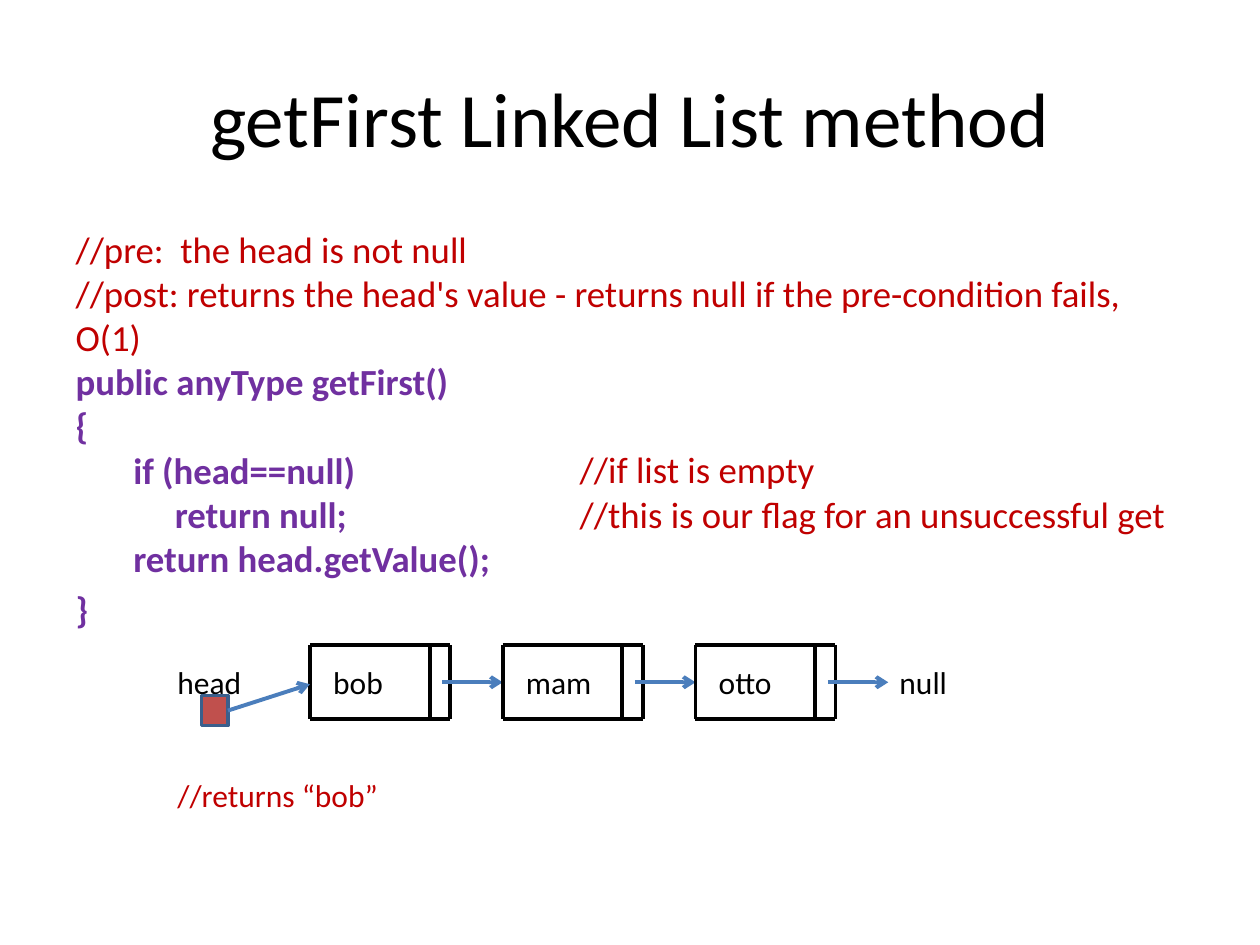
from dataclasses import dataclass

from lxml import etree
from pptx import Presentation
from pptx.dml.color import RGBColor
from pptx.enum.shapes import MSO_CONNECTOR, MSO_SHAPE
from pptx.enum.text import MSO_ANCHOR, MSO_AUTO_SIZE, PP_ALIGN
from pptx.oxml.ns import qn
from pptx.util import Pt

STRAIGHT = MSO_CONNECTOR.STRAIGHT
RECTANGLE = MSO_SHAPE.RECTANGLE
RIGHT_SIDE = 3


@dataclass(frozen=True)
class Theme:
    font: str = "Calibri"
    text: RGBColor = RGBColor(0x00, 0x00, 0x00)
    comment: RGBColor = RGBColor(0xC0, 0x00, 0x00)
    code: RGBColor = RGBColor(0x70, 0x30, 0xA0)
    arrow: RGBColor = RGBColor(0x4B, 0x7E, 0xBC)
    head_fill: RGBColor = RGBColor(0xC0, 0x50, 0x4D)
    head_line: RGBColor = RGBColor(0x3A, 0x5F, 0x8C)
    title_size: float = 44
    code_size: float = 21
    label_size: float = 18
    line_width: float = 2.25
    head_line_width: float = 2


@dataclass(frozen=True)
class CodeLine:
    text: str
    indent: float = 0
    before: float = 0

    @property
    def is_comment(self) -> bool:
        return self.text.startswith("//")


THEME = Theme()
CODE = [
    CodeLine("//pre:  the head is not null"),
    CodeLine("//post: returns the head's value - returns null "
             "if the pre-condition fails, O(1)"),
    CodeLine("public anyType getFirst()"),
    CodeLine("{"),
    CodeLine("if (head==null)", indent=33),
    CodeLine("return null;", indent=56.7),
    CodeLine("return head.getValue();", indent=33),
    CodeLine("}", before=4),
]
SIDE_COMMENTS = [
    CodeLine("//if list is empty"),
    CodeLine("//this is our flag for an unsuccessful get"),
]
LINE_PITCH = 25.2
BODY_TOP = 126
SIDE_COMMENT_ROW = 5

VALUES = ["bob", "mam", "otto"]
NODE_LEFT, NODE_TOP, NODE_PITCH = 177.1, 368.8, 110.16
NODE_WIDTH, NODE_HEIGHT = 80, 42.2
DIVIDER_X, ARROW_X = 68.4, 75.6
FIRST_LABEL_TAB, NULL_TAB = 89, 412.6


def style_run(r, size: float, color: RGBColor, bold: bool = False) -> None:
    r.font.name = THEME.font
    r.font.size = Pt(size)
    r.font.color.rgb = color
    r.font.bold = bold


def add_tabs(p, stops: list[float]) -> None:
    tabs = etree.SubElement(p._p.get_or_add_pPr(), qn("a:tabLst"))
    for stop in stops:
        etree.SubElement(tabs, qn("a:tab"), pos=str(int(Pt(stop))), algn="l")


def place(shape, left: float, top: float, width: float, height: float) -> None:
    shape.left, shape.top = Pt(left), Pt(top)
    shape.width, shape.height = Pt(width), Pt(height)


def add_title(s, text: str) -> None:
    title = s.shapes.title
    place(title, 36, 21.6, 648, 90)
    tf = title.text_frame
    tf.text = text
    tf.vertical_anchor = MSO_ANCHOR.MIDDLE
    p = tf.paragraphs[0]
    p.alignment = PP_ALIGN.CENTER
    style_run(p.runs[0], THEME.title_size, THEME.text)


def write_code(tf, lines: list[CodeLine]) -> None:
    """Write one unbulleted paragraph per line, comments plain and code bold."""
    tf.word_wrap = True
    tf.auto_size = MSO_AUTO_SIZE.NONE
    tf.text = "\n".join(line.text for line in lines)
    for p, line in zip(tf.paragraphs, lines):
        p.line_spacing = Pt(LINE_PITCH)
        p.space_before = Pt(line.before)
        pPr = p._p.get_or_add_pPr()
        pPr.set("marL", "0")
        pPr.set("indent", str(int(Pt(line.indent))))
        etree.SubElement(pPr, qn("a:buNone"))
        color = THEME.comment if line.is_comment else THEME.code
        style_run(p.runs[0], THEME.code_size, color, bold=not line.is_comment)


def add_code(s) -> None:
    body = s.placeholders[1]
    place(body, 36, BODY_TOP, 648, 356.4)
    write_code(body.text_frame, CODE)
    top = BODY_TOP + SIDE_COMMENT_ROW * LINE_PITCH
    side = s.shapes.add_textbox(Pt(324.2), Pt(top), Pt(359.8), Pt(57.6))
    write_code(side.text_frame, SIDE_COMMENTS)


def add_line(s, x1: float, y1: float, x2: float, y2: float,
             color: RGBColor, arrow: bool = False):
    line = s.shapes.add_connector(STRAIGHT, Pt(x1), Pt(y1), Pt(x2), Pt(y2))
    line.line.color.rgb = color
    line.line.width = Pt(THEME.line_width)
    if arrow:
        etree.SubElement(line.line._get_or_add_ln(), qn("a:tailEnd"), type="arrow")
    etree.SubElement(line._element.spPr, qn("a:effectLst"))
    return line


def add_node(s, left: float) -> None:
    """Draw a list node as ruled lines, with its outgoing arrow."""
    right, bottom = left + NODE_WIDTH, NODE_TOP + NODE_HEIGHT
    for y in (NODE_TOP, bottom):
        add_line(s, left, y, right, y, THEME.text)
    for x in (left, left + DIVIDER_X, right):
        add_line(s, x, NODE_TOP, x, bottom, THEME.text)
    middle = (NODE_TOP + bottom) / 2
    add_line(s, left + ARROW_X, middle, left + NODE_PITCH, middle,
             THEME.arrow, arrow=True)


def add_labels(s) -> None:
    box = s.shapes.add_textbox(Pt(94.3), Pt(375.1), Pt(463.7), Pt(116.6))
    tf = box.text_frame
    tf.word_wrap = True
    tf.text = "\t".join(["head", *VALUES, "null"])
    p = tf.paragraphs[0]
    stops = [FIRST_LABEL_TAB + i * NODE_PITCH for i in range(len(VALUES))]
    add_tabs(p, stops + [NULL_TAB])
    style_run(p.runs[0], THEME.label_size, THEME.text)
    p = tf.add_paragraph()
    p.text = "//returns “bob”"
    p.space_before = Pt(43)
    style_run(p.runs[0], THEME.label_size, THEME.comment)


def add_head(s) -> None:
    head = s.shapes.add_shape(RECTANGLE, Pt(115.2), Pt(397.4), Pt(15.1), Pt(17.3))
    head.shadow.inherit = False
    head.fill.solid()
    head.fill.fore_color.rgb = THEME.head_fill
    head.line.color.rgb = THEME.head_line
    head.line.width = Pt(THEME.head_line_width)
    arrow = add_line(s, 130.3, 406, NODE_LEFT, 391, THEME.arrow, arrow=True)
    arrow.begin_connect(head, RIGHT_SIDE)


def add_linked_list(s) -> None:
    for i in range(len(VALUES)):
        add_node(s, NODE_LEFT + i * NODE_PITCH)
    add_labels(s)
    add_head(s)


def main() -> None:
    prs = Presentation()
    prs.slide_width, prs.slide_height = Pt(720), Pt(540)
    s = prs.slides.add_slide(prs.slide_layouts[1])
    add_title(s, "getFirst Linked List method")
    add_code(s)
    add_linked_list(s)
    prs.save("out.pptx")


if __name__ == "__main__":
    main()
